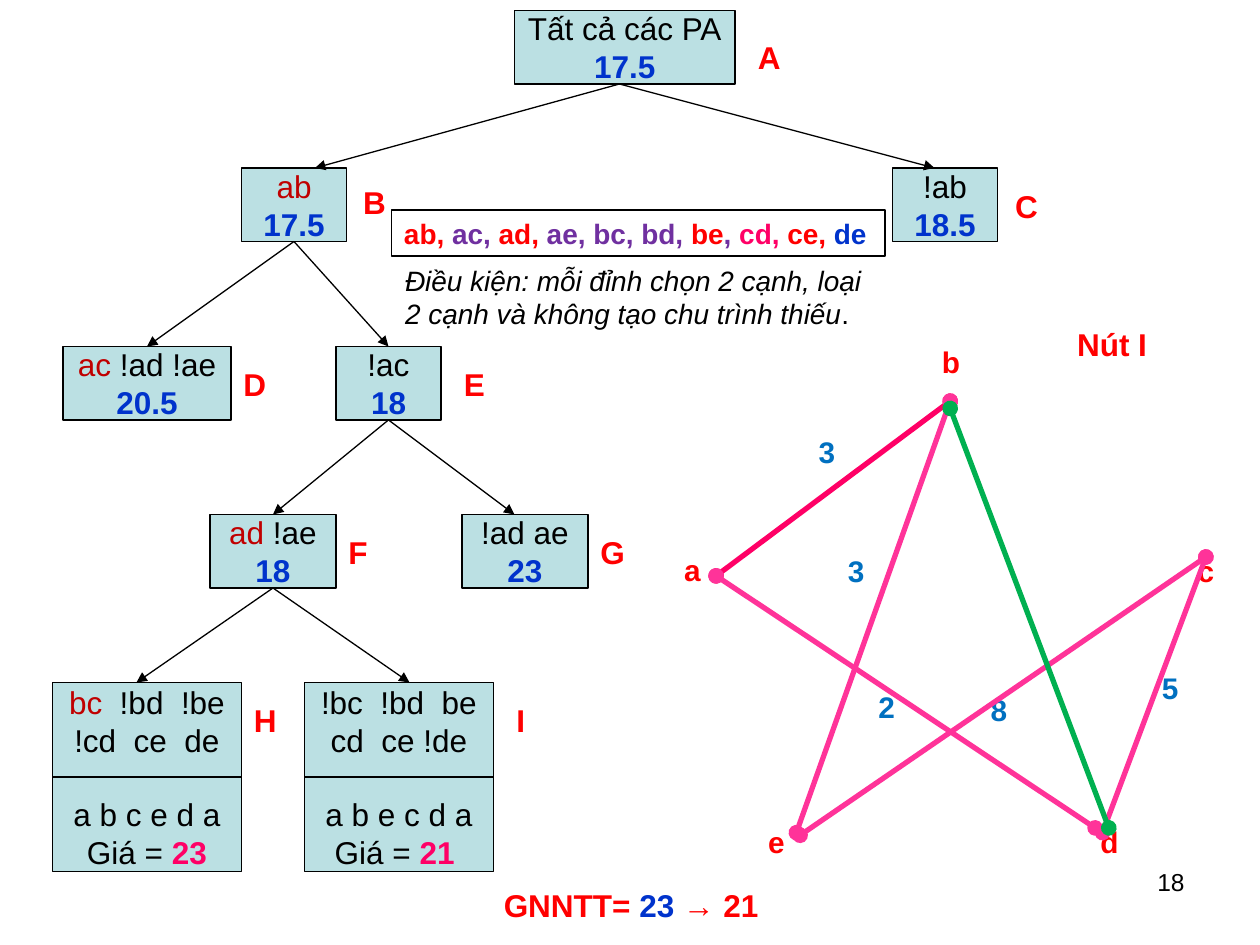
from lxml import etree
from pptx import Presentation
from pptx.dml.color import RGBColor
from pptx.enum.shapes import MSO_CONNECTOR, MSO_SHAPE
from pptx.enum.text import MSO_ANCHOR, PP_ALIGN
from pptx.oxml.ns import qn
from pptx.util import Inches, Pt

STRAIGHT, RECTANGLE = MSO_CONNECTOR.STRAIGHT, MSO_SHAPE.RECTANGLE
TOP, MIDDLE = MSO_ANCHOR.TOP, MSO_ANCHOR.MIDDLE
LEFT, CENTER, RIGHT = PP_ALIGN.LEFT, PP_ALIGN.CENTER, PP_ALIGN.RIGHT
TOP_SIDE, BOTTOM_SIDE = 0, 2

BLACK, RED, BLUE, DARK_RED = "000000", "FF0000", "0033CC", "C00000"
PURPLE, ROSE, PINK, GREEN, SKY = "7030A0", "FF0066", "FF3399", "00B050", "0070C0"
COLUMNS, ROWS = 120, 90


def color(value):
    return RGBColor.from_string(value)


class TreePage:
    """Places elements on a grid of 120 columns by 90 rows."""

    font_name = "Arial"
    node_fill = "BBE0E3"

    def __init__(self, deck):
        self.page = deck.slides.add_slide(deck.slide_layouts[6])
        self.column = deck.slide_width / COLUMNS
        self.row = deck.slide_height / ROWS

    def place(self, x, y):
        return round(x * self.column), round(y * self.row)

    def fill_text(self, shape, lines, size, align=LEFT, anchor=TOP, wrap=True, bold=False, italic=False):
        """Fill a shape; each line is a list of (text, colour, font settings) spans."""
        frame = shape.text_frame
        frame.word_wrap = wrap
        frame.vertical_anchor = anchor
        for number, spans in enumerate(lines):
            para = frame.add_paragraph() if number else frame.paragraphs[0]
            para.alignment = align
            font = para.font
            font.name, font.size, font.bold, font.italic = self.font_name, Pt(size), bold, italic
            font.color.rgb = color(spans[0][1])
            for text, hue, *settings in spans:
                span = para.add_run()
                span.text = text
                span.font.color.rgb = color(hue)
                if "bold" in settings:
                    span.font.bold = True
                if "upright" in settings:
                    span.font.italic = False
        return frame

    def rectangle(self, x, y, width, height, fill=None):
        box = self.page.shapes.add_shape(RECTANGLE, *self.place(x, y), *self.place(width, height))
        box.shadow.inherit = False
        if fill:
            box.fill.solid()
            box.fill.fore_color.rgb = color(fill)
        else:
            box.fill.background()
        box.line.color.rgb = color(BLACK)
        box.line.width = Pt(0.75)
        return box

    def node(self, area, lines):
        box = self.rectangle(*area, fill=self.node_fill)
        self.fill_text(box, lines, 18, CENTER, MIDDLE, wrap=False)
        return box

    def text(self, area, lines, size=18, **style):
        x, y, width, height = area
        box = self.page.shapes.add_textbox(*self.place(x, y), *self.place(width, height))
        return self.fill_text(box, lines, size, **style)

    def graph_label(self, x, y, text, hue):
        frame = self.text((x, y, 1.7, 3.7), [[(text, hue)]], 17, align=CENTER, bold=True, wrap=False)
        frame.margin_left = frame.margin_right = frame.margin_top = frame.margin_bottom = 0
        frame.paragraphs[0].line_spacing = 0.9

    def line(self, start, end, hue=BLACK, width=0.75, head=None, tail=None):
        line = self.page.shapes.add_connector(STRAIGHT, *self.place(*start), *self.place(*end))
        line.line.color.rgb = color(hue)
        line.line.width = Pt(width)
        properties = line._element.spPr
        outline = properties.find(qn("a:ln"))
        for tag, kind in (("a:headEnd", head), ("a:tailEnd", tail)):
            if kind:
                etree.SubElement(outline, qn(tag), type=kind)
        etree.SubElement(properties, qn("a:effectLst"))
        return line


# Node areas: column, row, width, height; then the place of the letter beside it.
NODES = {
    "A": ((49, 1, 21, 7), (71, 3)),
    "B": ((23, 16, 10, 7), (33.4, 16.8)),
    "C": ((85, 16, 10, 7), (95.5, 17.2)),
    "D": ((6, 33, 16, 7), (22, 34.2)),
    "E": ((32, 33, 10, 7), (43, 34.2)),
    "F": ((20, 49, 12, 7), (32, 50.2)),
    "G": ((44, 49, 12, 7), (56, 50.2)),
    "H": ((5, 65, 18, 18), (23, 66.2)),
    "I": ((29, 65, 18, 18), (48, 66.2)),
}
NODE_TEXT = {
    "A": [[("Tất cả các PA", BLACK)], [("17.5", BLUE, "bold")]],
    "B": [[("ab", DARK_RED)], [("17.5", BLUE, "bold")]],
    "C": [[("!ab", BLACK)], [("18.5", BLUE, "bold")]],
    "D": [[("ac", DARK_RED), (" !ad !ae", BLACK)], [("20.5", BLUE, "bold")]],
    "E": [[("!ac", BLACK)], [("18", BLUE, "bold")]],
    "F": [[("ad", DARK_RED), (" !ae", BLACK)], [("18", BLUE, "bold")]],
    "G": [[("!ad ae", BLACK)], [("23", BLUE, "bold")]],
    "H": [[("bc", DARK_RED), ("  !bd  !be", BLACK)], [("!cd  ce  de", BLACK)],
          [("a b c e d a", BLACK)], [("Giá = ", BLACK), ("23", ROSE, "bold")]],
    "I": [[("!bc  !bd  be", BLACK)], [("cd  ce !de", BLACK)],
          [("a b e c d a", BLACK)], [("Giá = ", BLACK), ("21 ", ROSE, "bold")]],
}
# Parent, child, and the columns where the arrow starts and ends.
BRANCHES = [
    ("A", "B", 59, 30), ("A", "C", 59, 89), ("B", "D", 28, 14), ("B", "E", 28, 37),
    ("E", "F", 37, 26), ("E", "G", 37, 49), ("F", "H", 26, 13), ("F", "I", 26, 39),
]
EDGE_NAMES = [
    ("ab,", RED), (" ac, ", PURPLE), ("ad,", RED), (" ae, bc, bd, ", PURPLE), ("be", RED),
    (", ", PURPLE), ("cd, ", ROSE), ("ce, ", RED), ("de", BLUE),
]
GRAPH_LABELS = [
    (83.6, 66, "2", SKY), (94.3, 66.3, "8", SKY), (110.6, 64.2, "5", SKY), (80.7, 53, "3", SKY),
    (77.9, 41.7, "3", SKY), (73.1, 78.8, "e", RED), (104.8, 78.8, "d", RED), (114, 53, "c", RED),
    (65.1, 52.9, "a", RED), (89.7, 33.1, "b", RED),
]
POINT_A, POINT_B, POINT_C = (68.2, 54.85), (90.5, 38.2), (114.85, 53.05)
GRAPH_EDGES = [
    (POINT_A, POINT_B, ROSE), ((75.85, 79.3), POINT_B, PINK), (POINT_A, (104.3, 78.85), PINK),
    ((105, 79.3), POINT_C, PINK), ((76.2, 79.55), POINT_C, PINK),
    ((105.6, 78.85), (90.5, 38.9), GREEN),
]


def draw_tree(page):
    boxes = {}
    for name, (area, (x, y)) in NODES.items():
        boxes[name] = page.node(area, NODE_TEXT[name])
        page.text((x, y, 5, 4.8), [[(name, RED)]], bold=True)
    for parent, child, start, end in BRANCHES:
        upper, lower = NODES[parent][0], NODES[child][0]
        arrow = page.line((start, upper[1] + upper[3]), (end, lower[1]), tail="triangle")
        if start == upper[0] + upper[2] / 2:
            arrow.begin_connect(boxes[parent], BOTTOM_SIDE)
        if end == lower[0] + lower[2] / 2:
            arrow.end_connect(boxes[child], TOP_SIDE)
    for leaf in "HI":
        boxes[leaf].text_frame.paragraphs[2].space_before = Pt(20.7)
        x, y, width, height = NODES[leaf][0]
        page.line((x, y + height / 2), (x + width, y + height / 2))


def draw_graph(page):
    for label in GRAPH_LABELS:
        page.graph_label(*label)
    for start, end, hue in GRAPH_EDGES:
        page.line(start, end, hue, 3, head="oval", tail="oval")
    page.text((101.4, 30.4, 11.4, 4.8), [[("Nút I", RED)]], bold=True)


def main():
    deck = Presentation()
    deck.slide_width, deck.slide_height = Inches(10), Inches(7.5)
    page = TreePage(deck)
    draw_tree(page)
    page.text((86, 82, 28, 6.2), [[("18", BLACK)]], 14, align=RIGHT)
    page.fill_text(page.rectangle(37.3, 20, 47, 4.4), [EDGE_NAMES], 16, bold=True)
    draw_graph(page)
    page.text((46.8, 83.8, 29.2, 4.8),
              [[("GNNTT= ", RED), ("23 ", BLUE), ("→ 21", RED)]], bold=True)
    condition = "Ðiều kiện: mỗi đỉnh chọn 2 cạnh, loại 2 cạnh và không tạo chu trình thiếu"
    page.text((37.4, 24.5, 47, 7.7),
              [[(condition, BLACK), (".", BLACK, "upright")]], 16, italic=True)
    deck.save("out.pptx")


if __name__ == "__main__":
    main()
